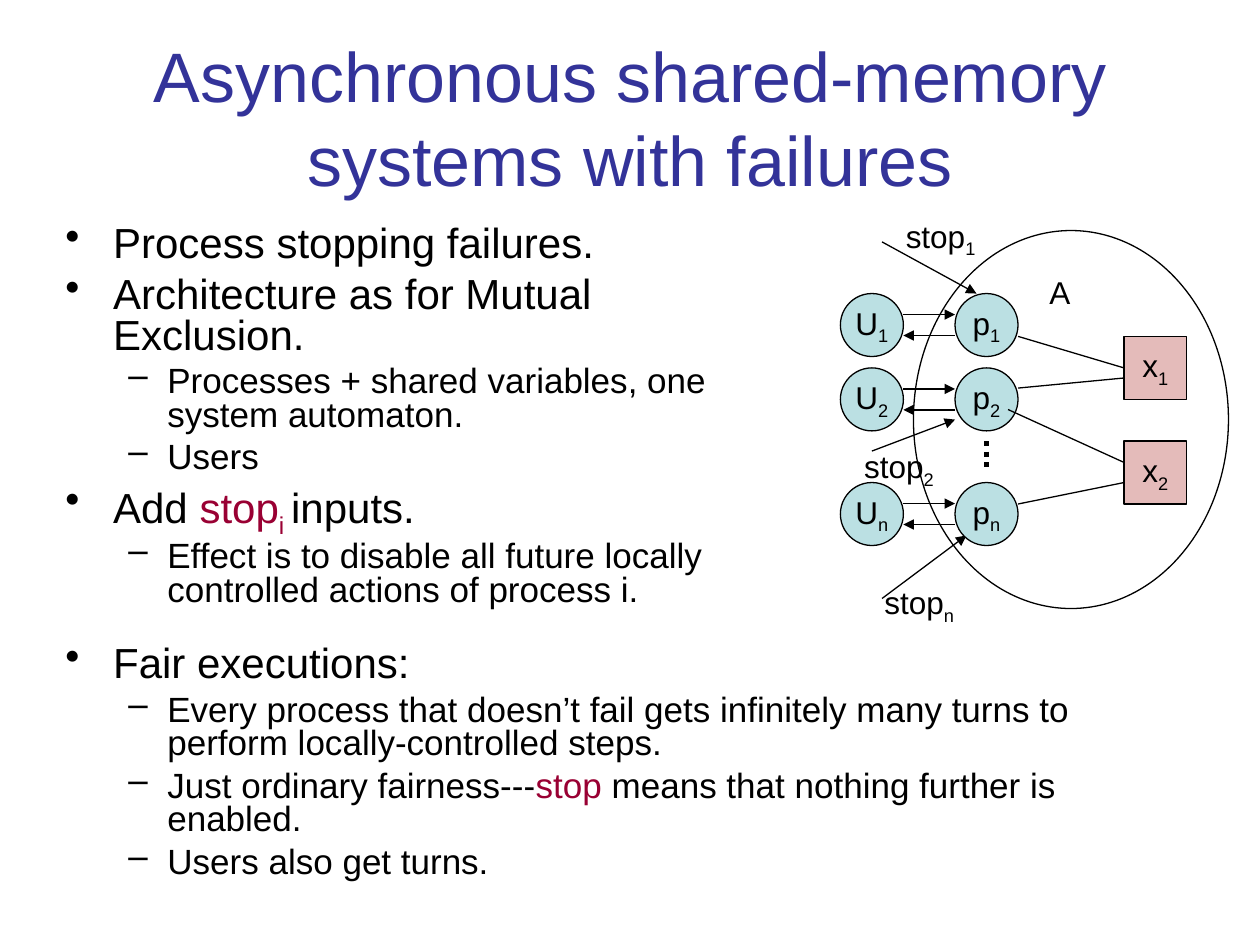
from dataclasses import dataclass

from lxml.etree import SubElement
from pptx import Presentation
from pptx.dml.color import RGBColor
from pptx.enum.dml import MSO_LINE
from pptx.enum.shapes import MSO_CONNECTOR, MSO_SHAPE
from pptx.enum.text import MSO_ANCHOR, PP_ALIGN
from pptx.oxml.ns import qn
from pptx.util import Inches, Pt


@dataclass(frozen=True)
class Theme:
    font: str = "Arial"
    ink: str = "000000"
    title: str = "333399"
    stop: str = "990033"
    node: str = "BBE0E3"
    cell: str = "E4BBBA"
    head: int = 40
    main: int = 24
    sub: int = 20
    label: int = 18
    thin: float = 0.75
    dots: float = 3


@dataclass(frozen=True)
class Run:
    text: str
    color: str = Theme.ink
    low: bool = False


THEME = Theme()
SIZE = 0.5
USER_X, PROC_X, CELL_X = 6.67, 7.58, 8.92
ROWS = {"1": 2.33, "2": 2.92, "n": 3.83}
CELLS = {"1": 2.67, "2": 3.5}
STOPS = [
    ("1", (7, 1.92), (7.75, 2.33), (7.09, 1.67)),
    ("2", (6.92, 3.58), (7.58, 3.33), (6.76, 3.5)),
    ("n", (7, 4.75), (7.67, 4.25), (6.92, 4.58)),
]
LINKS = [
    ((8.08, 2.67), (CELL_X, 2.92)),
    ((8.08, 3.08), (CELL_X, 3)),
    ((8, 3.25), (CELL_X, 3.67)),
    ((8.08, 4), (CELL_X, 3.83)),
]
UPPER = [
    (0, [Run("Process stopping failures.")]),
    (0, [Run("Architecture as for Mutual Exclusion.")]),
    (1, [Run("Processes + shared variables, one system automaton.")]),
    (1, [Run("Users")]),
    (0, [Run("Add "), Run("stop", THEME.stop), Run("i ", THEME.stop, True),
         Run("inputs.")]),
    (1, [Run("Effect is to disable all future locally controlled actions "
             "of process i.")]),
]
LOWER = [
    (0, [Run("Fair executions:")]),
    (1, [Run("Every process that doesn’t fail gets infinitely many turns to "
             "perform locally-controlled steps.")]),
    (1, [Run("Just ordinary fairness---"), Run("stop", THEME.stop),
         Run(" means that nothing further is enabled.")]),
    (1, [Run("Users also get turns.")]),
]


def write(para, runs, size=THEME.label, align=PP_ALIGN.LEFT):
    para.alignment = align
    for part in runs:
        run = para.add_run()
        run.text = part.text
        run.font.name = THEME.font
        run.font.size = Pt(size)
        run.font.color.rgb = RGBColor.from_string(part.color)
        if part.low:
            run._r.get_or_add_rPr().set("baseline", "-25000")


def add_box(board, x, y, wide, high, wrap=True):
    box = board.add_textbox(Inches(x), Inches(y), Inches(wide), Inches(high))
    box.text_frame.word_wrap = wrap
    return box.text_frame


def add_title(board, text):
    frame = add_box(board, 0.5, 0.3, 9, 1.25)
    frame.vertical_anchor = MSO_ANCHOR.MIDDLE
    write(frame.paragraphs[0], [Run(text, THEME.title)], size=THEME.head,
          align=PP_ALIGN.CENTER)


def add_list(board, items, x, y, wide, high):
    frame = add_box(board, x, y, wide, high)
    for i, (level, runs) in enumerate(items):
        para = frame.add_paragraph() if i else frame.paragraphs[0]
        left, hang, mark, size, gap = (
            (0.81, -0.31, "–", THEME.sub, 5) if level
            else (0.38, -0.38, "•", THEME.main, 6))
        para.level = level
        para.line_spacing = 0.8
        para.space_before = Pt(gap if i else 0)
        props = para._p.get_or_add_pPr()
        props.set("marL", str(Inches(left)))
        props.set("indent", str(Inches(hang)))
        SubElement(props, qn("a:buChar")).set("char", mark)
        write(para, runs, size=size)


def add_line(board, start, end, width=THEME.thin, dash=None, tip=False):
    line = board.add_connector(MSO_CONNECTOR.STRAIGHT,
                               *map(Inches, (*start, *end)))
    line.line.color.rgb = RGBColor.from_string(THEME.ink)
    line.line.width = Pt(width)
    if dash:
        line.line.dash_style = dash
    if tip:
        SubElement(line.line._get_or_add_ln(),
                   qn("a:tailEnd")).set("type", "triangle")
    SubElement(line._element.spPr, qn("a:effectLst"))


def add_shape(board, kind, x, y, wide=SIZE, high=SIZE, fill=None, runs=()):
    shape = board.add_shape(kind, *map(Inches, (x, y, wide, high)))
    shape.shadow.inherit = False
    shape.line.color.rgb = RGBColor.from_string(THEME.ink)
    shape.line.width = Pt(THEME.thin)
    if fill:
        shape.fill.solid()
        shape.fill.fore_color.rgb = RGBColor.from_string(fill)
    else:
        shape.fill.background()
    frame = shape.text_frame
    frame.word_wrap = False
    frame.vertical_anchor = MSO_ANCHOR.MIDDLE
    write(frame.paragraphs[0], runs, align=PP_ALIGN.CENTER)


def add_label(board, runs, x, y, wide=0.75, high=0.44):
    write(add_box(board, x, y, wide, high, wrap=False).paragraphs[0], runs)


def name(stem, mark):
    return [Run(stem), Run(mark, low=True)]


def draw_system(board):
    for _, start, end, _ in STOPS:
        add_line(board, start, end, tip=True)
    add_shape(board, MSO_SHAPE.OVAL, 7.25, 1.83, 2.5, 3)
    add_line(board, (7.83, 3.5), (7.83, 3.75), width=THEME.dots,
             dash=MSO_LINE.ROUND_DOT)
    for mark, y in ROWS.items():
        for stem, x in (("p", PROC_X), ("U", USER_X)):
            add_shape(board, MSO_SHAPE.OVAL, x, y, fill=THEME.node,
                      runs=name(stem, mark))
        near, far = USER_X + SIZE, PROC_X
        go, back = y + SIZE / 3, y + SIZE * 2 / 3
        add_line(board, (near, go), (far, go), tip=True)
        add_line(board, (far, back), (near, back), tip=True)
    for start, end in LINKS:
        add_line(board, start, end)
    for mark, y in CELLS.items():
        add_shape(board, MSO_SHAPE.RECTANGLE, CELL_X, y, fill=THEME.cell,
                  runs=name("x", mark))
    add_label(board, [Run("A")], 8.23, 2.12, 0.37, 0.4)
    for mark, _, _, place in STOPS:
        add_label(board, name("stop", mark), *place)


def main():
    deck = Presentation()
    deck.slide_width, deck.slide_height = Inches(10), Inches(7.5)
    board = deck.slides.add_slide(deck.slide_layouts[6]).shapes
    add_title(board, "Asynchronous shared-memory systems with failures")
    add_list(board, UPPER, 0.42, 1.75, 5.83, 3.5)
    draw_system(board.add_group_shape().shapes)
    add_list(board, LOWER, 0.42, 5.08, 9, 2.17)
    deck.save("out.pptx")


if __name__ == "__main__":
    main()
